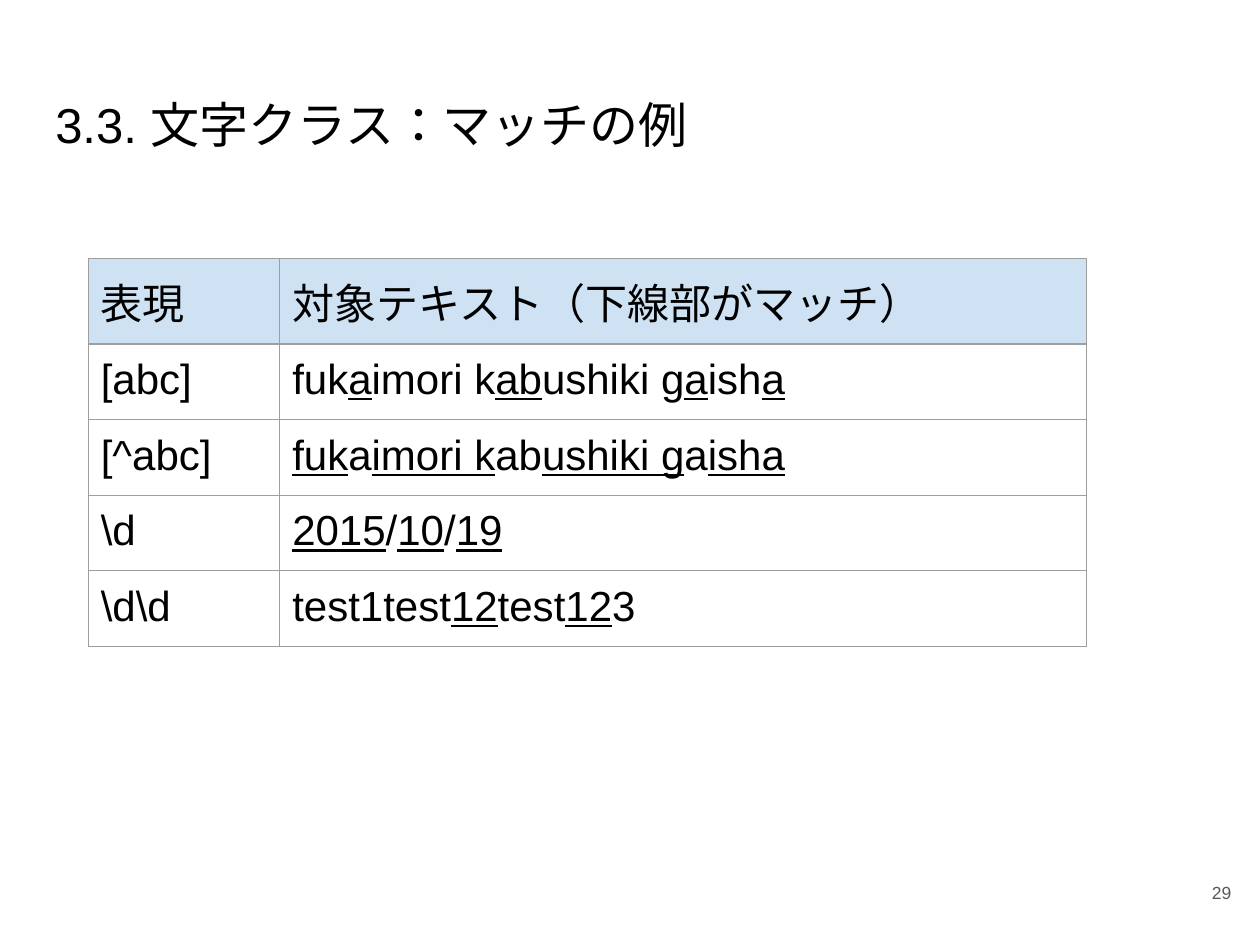
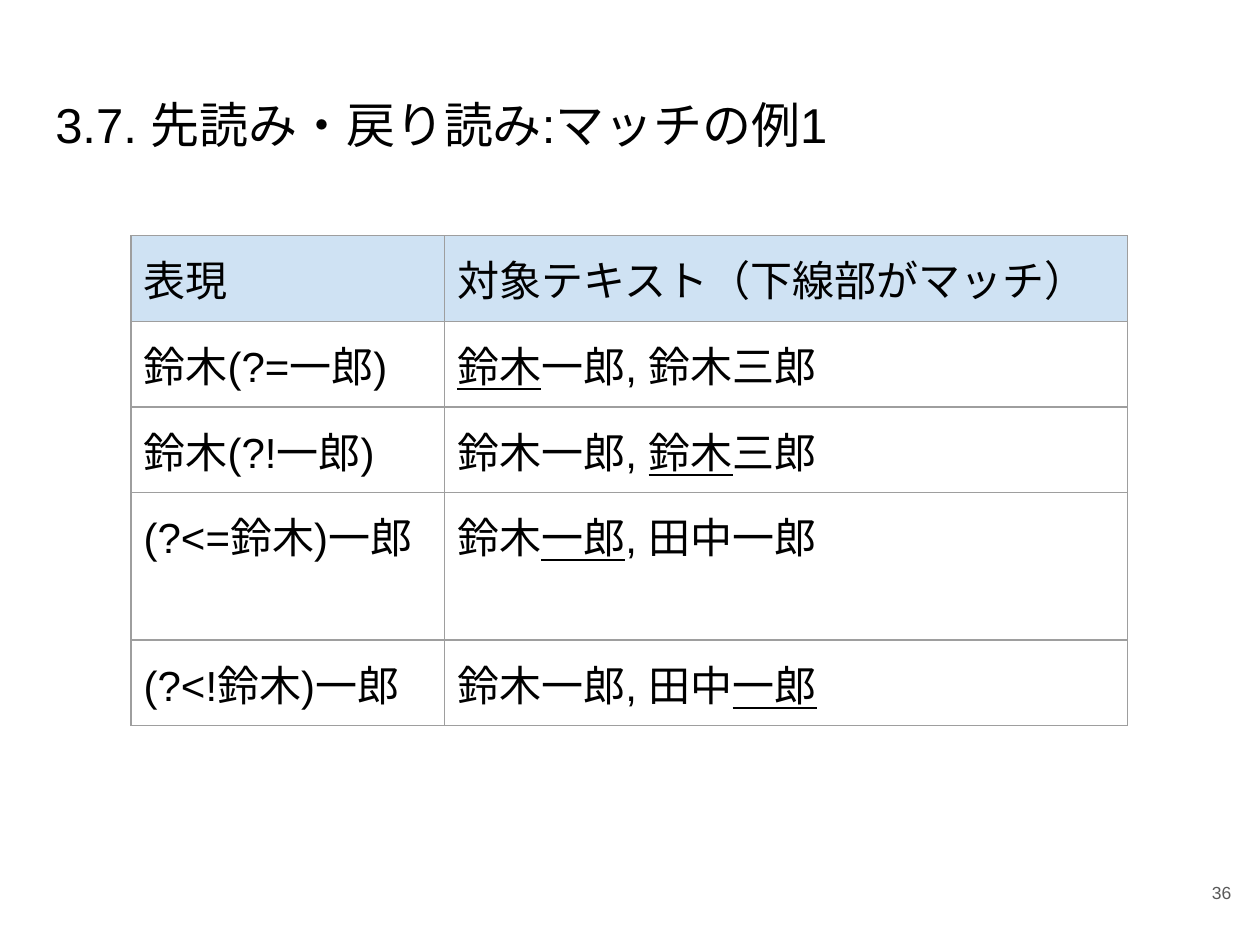
from dataclasses import dataclass

from lxml.etree import SubElement
from pptx import Presentation
from pptx.dml.color import RGBColor
from pptx.enum.lang import MSO_LANGUAGE_ID
from pptx.enum.text import MSO_ANCHOR, PP_ALIGN
from pptx.oxml.ns import qn
from pptx.slide import Slide
from pptx.table import _Cell
from pptx.text.text import TextFrame, _Paragraph, _Run
from pptx.util import Inches, Pt

FONT = "Arial"
BLACK = "000000"
PAGE_GREY = "595959"
BORDER_GREY = "9E9E9E"
HEADER_BLUE = "CFE2F3"
INSET = Inches(0.1)
BORDER_WIDTH = Pt(0.75)
PLAIN_TABLE_STYLE = "{2D5ABB26-0587-4C30-8999-92F81FD0307C}"
LATIN_ROW, JAPANESE_ROW, WRAPPED_ROW = 0.57, 0.68, 1.17
HEADINGS = ("表現", "対象テキスト（下線部がマッチ）")


@dataclass(frozen=True)
class Example:
    expression: str
    target: str  # matched parts stand between underscores
    height: float


@dataclass(frozen=True)
class MatchSlide:
    title: str
    page: int
    left: float
    top: float
    column_widths: tuple[float, float]
    examples: tuple[Example, ...]


MATCH_SLIDES = (
    MatchSlide(
        "3.3. 文字クラス：マッチの例", 29, 0.7, 2.05, (1.52, 6.4),
        (
            Example("[abc]", "fuk_a_imori k_ab_ushiki g_a_ish_a_", LATIN_ROW),
            Example("[^abc]", "_fuk_a_imori k_ab_ushiki g_a_isha_", LATIN_ROW),
            Example(r"\d", "_2015_/_10_/_19_", LATIN_ROW),
            Example(r"\d\d", "test1test_12_test_12_3", LATIN_ROW),
        ),
    ),
    MatchSlide(
        "3.7. 先読み・戻り読み:マッチの例1", 36, 1.04, 1.87, (2.49, 5.42),
        (
            Example("鈴木(?=一郎)", "_鈴木_一郎, 鈴木三郎", JAPANESE_ROW),
            Example("鈴木(?!一郎)", "鈴木一郎, _鈴木_三郎", JAPANESE_ROW),
            Example("(?<=鈴木)一郎", "鈴木_一郎_, 田中一郎", WRAPPED_ROW),
            Example("(?<!鈴木)一郎", "鈴木一郎, 田中_一郎_", JAPANESE_ROW),
        ),
    ),
)


def rgb(color: str) -> RGBColor:
    return RGBColor.from_string(color)


def style_run(run: _Run, size: float, color: str) -> None:
    run.font.size = Pt(size)
    run.font.name = FONT
    run.font.color.rgb = rgb(color)
    run.font.language_id = MSO_LANGUAGE_ID.JAPANESE


def write_marked(paragraph: _Paragraph, marked: str, size: float, color: str) -> None:
    """Write text, underlining the parts between underscores."""
    for index, part in enumerate(marked.split("_")):
        if part:
            run = paragraph.add_run()
            run.text = part
            style_run(run, size, color)
            if index % 2:
                run.font.underline = True


def add_text(slide: Slide, text: str, box: tuple[float, float, float, float],
             size: float, color: str) -> TextFrame:
    frame = slide.shapes.add_textbox(*map(Inches, box)).text_frame
    frame.word_wrap = True
    frame.margin_left = frame.margin_right = INSET
    frame.margin_top = frame.margin_bottom = INSET
    write_marked(frame.paragraphs[0], text, size, color)
    for run in frame.paragraphs[0].runs:
        for script in ("ea", "cs", "sym"):
            if script != "sym":
                SubElement(run.font._element, qn(f"a:{script}"), typeface=FONT)
    return frame


def add_borders(cell: _Cell) -> None:
    properties = cell._tc.get_or_add_tcPr()
    for side in ("lnL", "lnR", "lnT", "lnB"):
        line = SubElement(properties, qn(f"a:{side}"), w=str(int(BORDER_WIDTH)))
        fill = SubElement(line, qn("a:solidFill"))
        SubElement(fill, qn("a:srgbClr"), val=BORDER_GREY)


def fill_cell(cell: _Cell, marked: str, is_header: bool) -> None:
    cell.margin_left = cell.margin_right = INSET
    cell.margin_top = cell.margin_bottom = INSET
    add_borders(cell)
    if is_header:
        cell.fill.solid()
        cell.fill.fore_color.rgb = rgb(HEADER_BLUE)
    else:
        cell.fill.background()
    write_marked(cell.text_frame.paragraphs[0], marked, 24, BLACK)


def add_match_table(slide: Slide, content: MatchSlide) -> None:
    rows = [HEADINGS] + [(e.expression, e.target) for e in content.examples]
    heights = [JAPANESE_ROW] + [e.height for e in content.examples]
    table = slide.shapes.add_table(
        len(rows), len(HEADINGS), Inches(content.left), Inches(content.top),
        Inches(sum(content.column_widths)), Inches(sum(heights)),
    ).table
    table.first_row = table.horz_banding = False
    table._tbl.tblPr.find(qn("a:tableStyleId")).text = PLAIN_TABLE_STYLE
    for column, width in zip(table.columns, content.column_widths):
        column.width = Inches(width)
    for row_index, (texts, height) in enumerate(zip(rows, heights)):
        table.rows[row_index].height = Inches(height)
        for column_index, marked in enumerate(texts):
            fill_cell(table.cell(row_index, column_index), marked, row_index == 0)


def add_match_slide(presentation: Presentation, content: MatchSlide) -> None:
    slide = presentation.slides.add_slide(presentation.slide_layouts[6])
    add_text(slide, content.title, (0.34, 0.65, 9.32, 0.83), 28, BLACK)
    page = add_text(slide, str(content.page), (9.27, 6.8, 0.6, 0.57), 10, PAGE_GREY)
    page.vertical_anchor = MSO_ANCHOR.MIDDLE
    page.paragraphs[0].alignment = PP_ALIGN.RIGHT
    add_match_table(slide, content)


def main() -> None:
    presentation = Presentation()
    presentation.slide_width = Inches(10)
    presentation.slide_height = Inches(7.5)
    for content in MATCH_SLIDES:
        add_match_slide(presentation, content)
    presentation.save("out.pptx")


if __name__ == "__main__":
    main()
